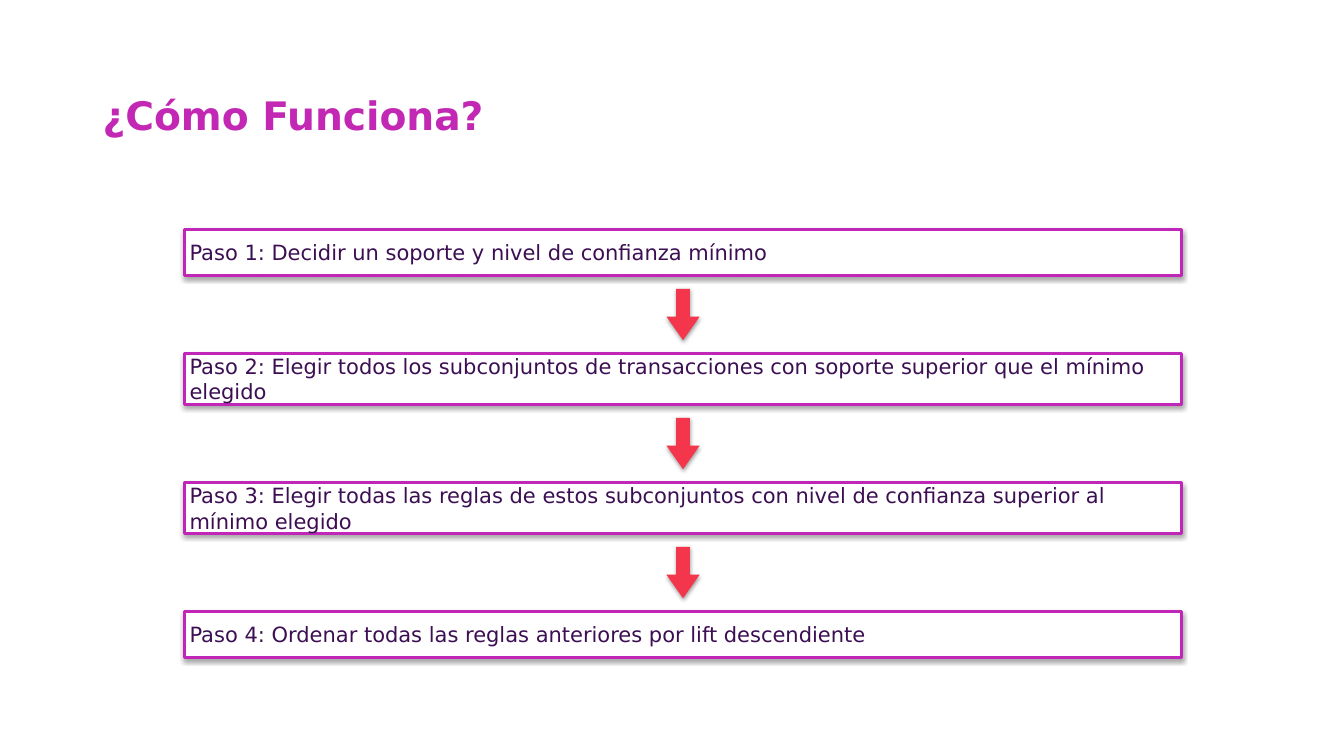
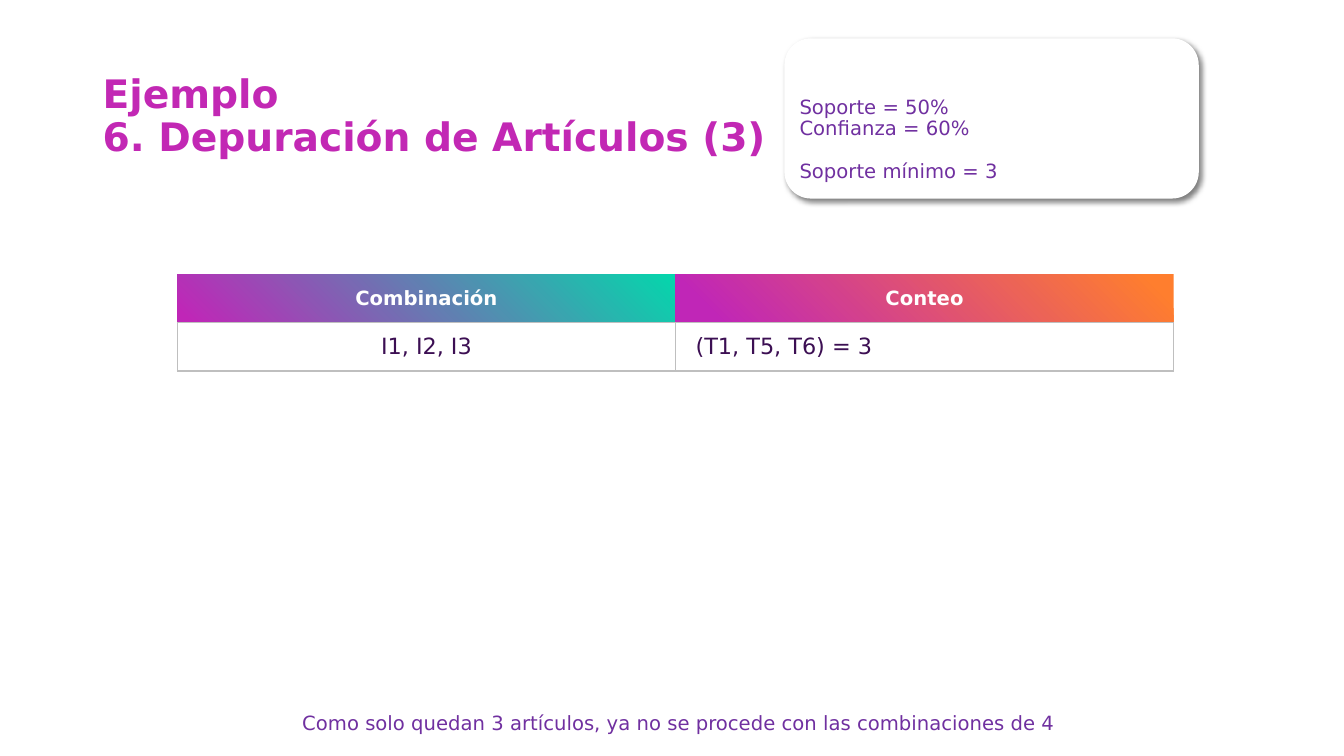
from lxml import etree
from pptx import Presentation
from pptx.dml.color import RGBColor
from pptx.enum.shapes import MSO_SHAPE
from pptx.enum.text import MSO_ANCHOR, PP_ALIGN
from pptx.oxml.ns import qn
from pptx.util import Inches, Pt

RECTANGLE = MSO_SHAPE.RECTANGLE
ROUNDED = MSO_SHAPE.ROUNDED_RECTANGLE
DOWN_ARROW = MSO_SHAPE.DOWN_ARROW
TOP, MIDDLE = MSO_ANCHOR.TOP, MSO_ANCHOR.MIDDLE
LEFT, CENTER = PP_ALIGN.LEFT, PP_ALIGN.CENTER

FONT = "DejaVu Sans"
WHITE = RGBColor(0xFF, 0xFF, 0xFF)
TITLE_COLOR = RGBColor(0xC2, 0x28, 0xB4)
MAGENTA = RGBColor(0xC0, 0x26, 0xB7)
DARK_PURPLE = RGBColor(0x3C, 0x0F, 0x53)
PURPLE = RGBColor(0x70, 0x30, 0xA0)
RED = RGBColor(0xF4, 0x36, 0x4C)
GREEN = RGBColor(0x06, 0xD5, 0xAC)
ORANGE = RGBColor(0xFF, 0x7E, 0x2E)
GRAY = RGBColor(0xBF, 0xBF, 0xBF)

STEPS = [
    ("Paso 1: Decidir un soporte y nivel de confianza mínimo", 0.45),
    ("Paso 2: Elegir todos los subconjuntos de transacciones con soporte "
     "superior que el mínimo elegido", 0.5),
    ("Paso 3: Elegir todas las reglas de estos subconjuntos con nivel de "
     "confianza superior al mínimo elegido", 0.5),
    ("Paso 4: Ordenar todas las reglas anteriores por lift descendiente", 0.45),
]
STEP_LEFT, STEP_TOP, STEP_WIDTH, STEP_GAP = 1.83, 2.28, 9.89, 0.78
ARROW_WIDTH, ARROW_HEIGHT = 0.33, 0.51

HEADERS = [
    ("Combinación", [(GREEN, 0.01), (MAGENTA, 0.98)]),
    ("Conteo", [(ORANGE, 0.05), (MAGENTA, 0.92)]),
]
COUNTS = [("I1, I2, I3", CENTER, 0), ("(T1, T5, T6) = 3", LEFT, 0.2)]


def style_paragraph(paragraph, size, color, bold=False, align=LEFT, spacing=1.0):
    paragraph.alignment = align
    paragraph.line_spacing = spacing
    font = paragraph.font
    font.name, font.size, font.bold = FONT, Pt(size), bold
    font.color.rgb = color


def set_margins(target, left, top, right, bottom):
    target.margin_left, target.margin_top = Inches(left), Inches(top)
    target.margin_right, target.margin_bottom = Inches(right), Inches(bottom)


def add_text(slide, box, lines, size, color, bold=False, align=LEFT,
             anchor=TOP, margins=(0, 0.05, 0.1, 0.05)):
    frame = slide.shapes.add_textbox(*map(Inches, box)).text_frame
    frame.word_wrap = True
    frame.vertical_anchor = anchor
    set_margins(frame, *margins)
    frame.text = "\n".join(lines)
    for paragraph in frame.paragraphs:
        style_paragraph(paragraph, size, color, bold, align, 0.9)
    return frame


def add_title(slide, *lines):
    add_text(slide, (0.92, 0.71, 11.5, 0.91), lines, 28, TITLE_COLOR,
             bold=True, anchor=MIDDLE, margins=(0.1, 0.05, 0.1, 0.05))


def add_shadowed_shape(slide, kind, box, fill, shadow, line=None):
    shape = slide.shapes.add_shape(kind, *map(Inches, box))
    shape.fill.solid()
    shape.fill.fore_color.rgb = fill
    if line is None:
        shape.line.fill.background()
    else:
        shape.line.color.rgb = line
        shape.line.width = Pt(2)
    shape.shadow.inherit = False
    opacity, blur, distance, angle = shadow
    effects = shape._element.spPr.find(qn("a:effectLst"))
    outer = etree.SubElement(
        effects, qn("a:outerShdw"), blurRad=str(Pt(blur)),
        dist=str(Pt(distance)), dir=str(angle * 60000), rotWithShape="0")
    color = etree.SubElement(outer, qn("a:srgbClr"), val="000000")
    etree.SubElement(color, qn("a:alpha"), val=str(opacity * 1000))
    return shape


def add_step(slide, text, top, height):
    shape = add_shadowed_shape(slide, RECTANGLE, (STEP_LEFT, top, STEP_WIDTH, height),
                               WHITE, (35, 3, 1.8, 90), MAGENTA)
    frame = shape.text_frame
    frame.word_wrap = True
    frame.vertical_anchor = MIDDLE
    set_margins(frame, 0.05, 0.05, 0.05, 0.05)
    frame.text = text
    style_paragraph(frame.paragraphs[0], 15, DARK_PURPLE)


def add_step_arrow(slide, gap_top):
    left = STEP_LEFT + (STEP_WIDTH - ARROW_WIDTH) / 2
    top = gap_top + (STEP_GAP - ARROW_HEIGHT) / 2
    arrow = add_shadowed_shape(slide, DOWN_ARROW, (left, top, ARROW_WIDTH, ARROW_HEIGHT),
                               RED, (38, 3, 1.6, 85))
    arrow.adjustments[0], arrow.adjustments[1] = 0.415, 0.71


def set_borders(cell, visible_sides):
    properties = cell._tc.get_or_add_tcPr()
    for index, side in enumerate("LRTB"):
        line = etree.Element(qn(f"a:ln{side}"), w=str(Pt(1)))
        if side in visible_sides:
            fill = etree.SubElement(line, qn("a:solidFill"))
            etree.SubElement(fill, qn("a:srgbClr"), val=str(GRAY))
        else:
            etree.SubElement(line, qn("a:noFill"))
        properties.insert(index, line)


def fill_cell(cell, text, size, color, bold, align, borders):
    cell.text = text
    cell.vertical_anchor = MIDDLE
    style_paragraph(cell.text_frame.paragraphs[0], size, color, bold, align)
    set_borders(cell, borders)


def add_count_table(slide):
    box = map(Inches, (1.76, 2.72, 9.88, 0.96))
    table = slide.shapes.add_table(2, len(HEADERS), *box).table
    table.horz_banding = False
    for column, (text, stops) in enumerate(HEADERS):
        cell = table.cell(0, column)
        cell.fill.gradient()
        cell.fill.gradient_angle = 225
        for stop, (color, position) in zip(cell.fill.gradient_stops, stops):
            stop.color.rgb = color
            stop.position = position
        fill_cell(cell, text, 14, WHITE, True, CENTER, "B")
    for column, (text, align, indent) in enumerate(COUNTS):
        cell = table.cell(1, column)
        cell.fill.solid()
        cell.fill.fore_color.rgb = WHITE
        set_margins(cell, indent, 0, 0, 0)
        fill_cell(cell, text, 16, DARK_PURPLE, False, align, "LRTB")


def build_steps_slide(slide):
    add_title(slide, "¿Cómo Funciona?")
    top = STEP_TOP
    for number, (text, height) in enumerate(STEPS, 1):
        add_step(slide, text, top, height)
        if number < len(STEPS):
            add_step_arrow(slide, top + height)
        top += height + STEP_GAP


def build_example_slide(slide):
    add_title(slide, "Ejemplo", "6. Depuración de Artículos (3)")
    add_shadowed_shape(slide, ROUNDED, (7.78, 0.38, 4.11, 1.59), WHITE, (50, 4, 3, 45))
    limits = ["Soporte = 50%", "Confianza = 60%", "Soporte mínimo = 3"]
    frame = add_text(slide, (7.93, 0.92, 3.79, 0.95), limits, 14, PURPLE)
    frame.paragraphs[-1].space_before = Pt(15)
    add_count_table(slide)
    add_text(slide, (1.04, 7.03, 11.48, 0.31),
             ["Como solo quedan 3 artículos, ya no se procede con las combinaciones de 4"],
             14, PURPLE, align=CENTER)


def main():
    presentation = Presentation()
    presentation.slide_width = Inches(13.33)
    presentation.slide_height = Inches(7.5)
    blank = presentation.slide_layouts[6]
    for build in (build_steps_slide, build_example_slide):
        build(presentation.slides.add_slide(blank))
    presentation.save("out.pptx")


if __name__ == "__main__":
    main()
